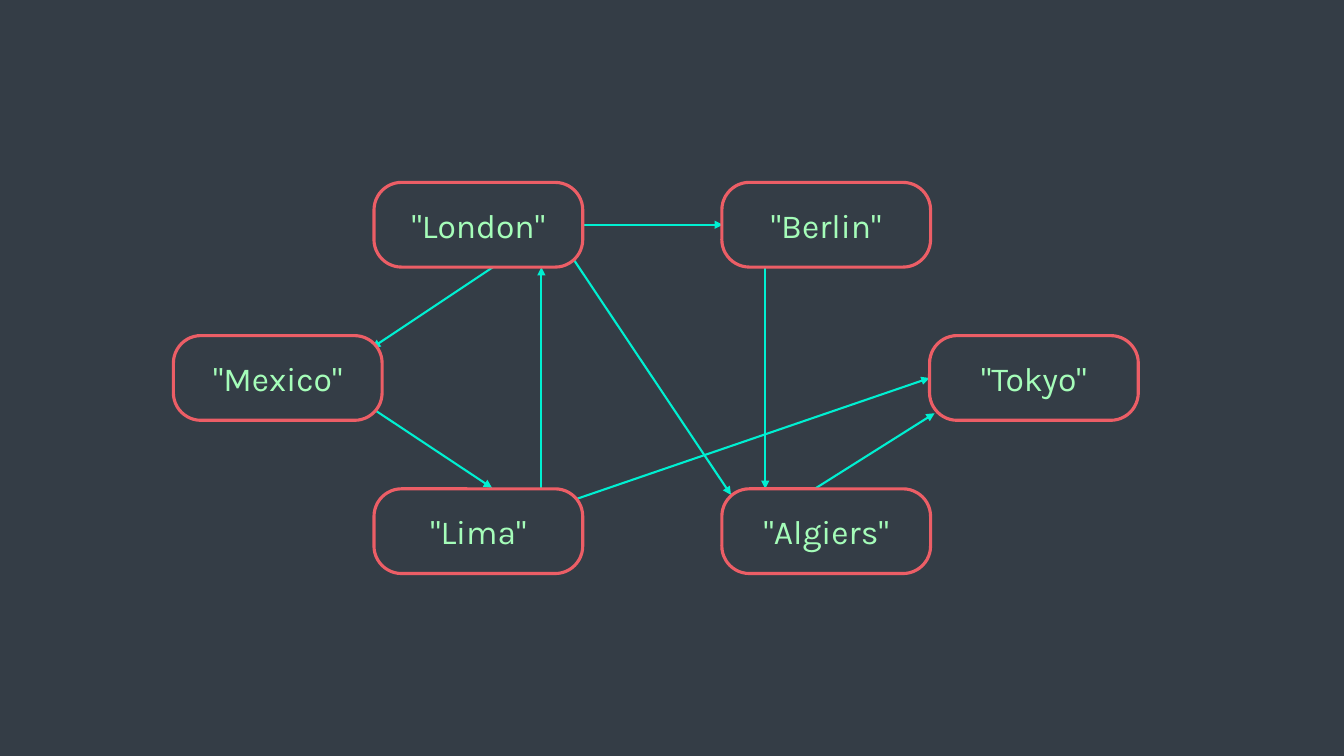
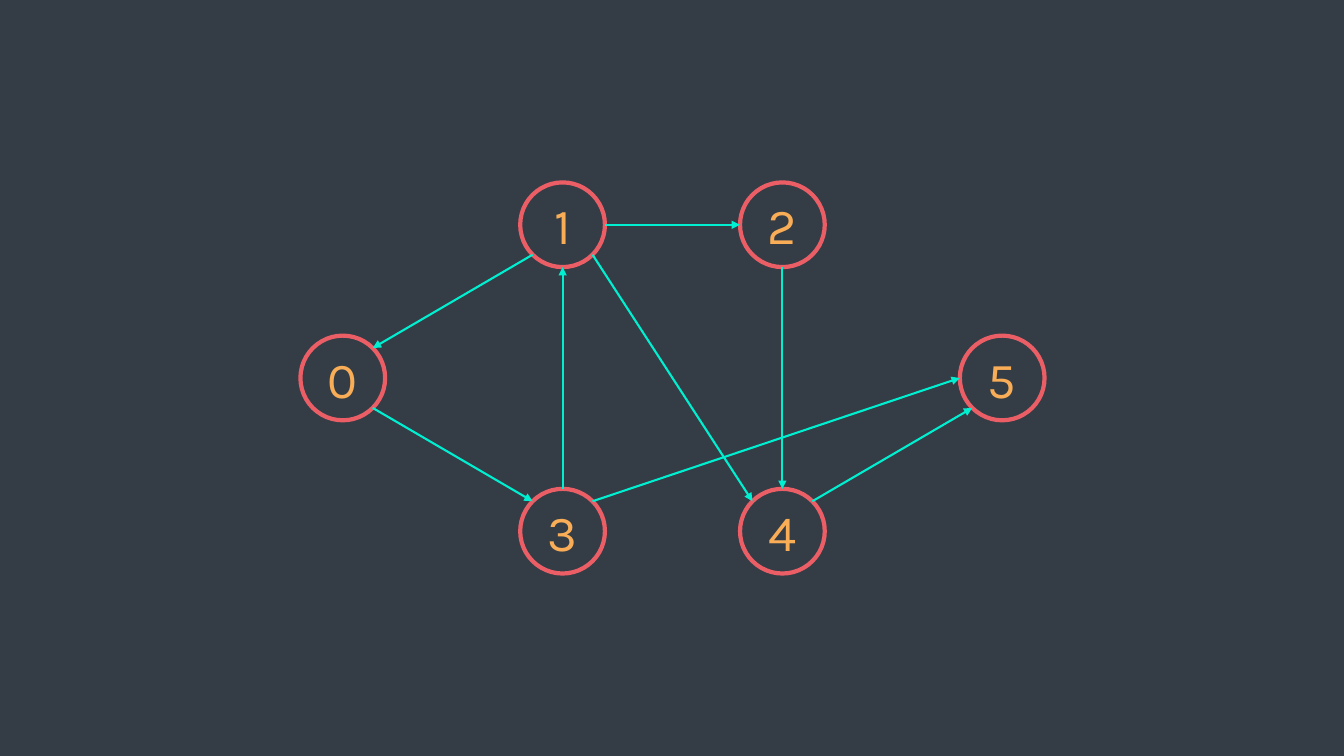
from math import cos, radians, sin

from lxml.etree import SubElement
from pptx import Presentation
from pptx.dml.color import RGBColor
from pptx.enum.shapes import MSO_CONNECTOR as Connector, MSO_SHAPE as Shape
from pptx.enum.text import MSO_ANCHOR as Anchor, PP_ALIGN as Align
from pptx.oxml.ns import qn
from pptx.util import Inches, Pt

ROW_TOPS = TOP, MIDDLE, BOTTOM = [1.81 + 1.52 * row for row in range(3)]
NODE_HEIGHT = 0.84

CITIES = [
    ("London", 3.71, TOP), ("Berlin", 7.16, TOP),
    ("Mexico", 1.72, MIDDLE), ("Tokyo", 9.22, MIDDLE),
    ("Lima", 3.71, BOTTOM), ("Algiers", 7.16, BOTTOM),
]
ROUTES = [
    ((5.07, 2.53), (3.69, 3.45)),
    ((5.37, 4.85), (5.37, 2.65)),
    ((3.69, 4.05), (4.88, 4.84)),
    ((5.79, 2.23), (7.17, 2.23)),
    ((5.66, 2.53), (7.25, 4.91)),
    ((7.59, 2.65), (7.59, 4.85)),
    ((7.89, 4.97), (9.27, 4.10)),
    ((5.66, 4.97), (9.22, 3.75)),
]

FIRST_COLUMN, COLUMN_STEP = 2.98, 2.18
VERTICES = [(0, MIDDLE), (1, TOP), (2, TOP), (1, BOTTOM), (2, BOTTOM), (3, MIDDLE)]
RIGHT, LOWER_RIGHT, DOWN, LOWER_LEFT, LEFT, UPPER_LEFT, UP, UPPER_RIGHT = range(0, 360, 45)
EDGES = [
    (1, LOWER_LEFT, 0, UPPER_RIGHT),
    (3, UP, 1, DOWN),
    (0, LOWER_RIGHT, 3, UPPER_LEFT),
    (1, RIGHT, 2, LEFT),
    (1, LOWER_RIGHT, 4, UPPER_LEFT),
    (2, DOWN, 4, UP),
    (4, UPPER_RIGHT, 5, LOWER_LEFT),
    (3, UPPER_RIGHT, 5, LEFT),
]


def color(hex_code):
    """Turn a hex string into a colour."""
    return RGBColor.from_string(hex_code)


class GraphDeck:
    """Hold the deck style and draw graph parts on the current slide."""

    font = "Karla"
    background = "343D46"
    outline = "EC5E66"
    arrow_color = "00EFD1"
    city_color = "A5FDB9"
    number_color = "F9AD57"

    def __init__(self):
        """Open an empty widescreen deck."""
        self.deck = Presentation()
        self.deck.slide_width = Inches(13.33)
        self.deck.slide_height = Inches(7.5)
        self.slide = None

    def add_slide(self):
        """Start a slide with the shared background."""
        self.slide = self.deck.slides.add_slide(self.deck.slide_layouts[6])
        fill = self.slide.background.fill
        fill.solid()
        fill.fore_color.rgb = color(self.background)

    def node(self, outline_kind, label, left, top, width, border, size, text_color):
        """Draw an outlined node with a centred label."""
        node = self.slide.shapes.add_shape(
            outline_kind, Inches(left), Inches(top), Inches(width), Inches(NODE_HEIGHT))
        node.shadow.inherit = False
        node.fill.solid()
        node.fill.fore_color.rgb = color(self.background)
        node.line.color.rgb = color(self.outline)
        node.line.width = Pt(border)
        frame = node.text_frame
        frame.text = label
        frame.vertical_anchor = Anchor.MIDDLE
        paragraph = frame.paragraphs[0]
        paragraph.alignment = Align.CENTER
        font = paragraph.runs[0].font
        font.name = self.font
        font.size = Pt(size)
        font.color.rgb = color(text_color)
        return node

    def city(self, name, left, top):
        """Draw a rounded box with a quoted city name."""
        box = self.node(Shape.ROUNDED_RECTANGLE, f'"{name}"', left, top, 2.07,
                        2.25, 24, self.city_color)
        box.adjustments[0] = 0.325
        frame = box.text_frame
        frame.margin_left = frame.margin_right = 0
        frame.margin_top = frame.margin_bottom = 0

    def vertex(self, number, left, top):
        """Draw a numbered circle."""
        self.node(Shape.OVAL, str(number), left, top, NODE_HEIGHT,
                  3, 36, self.number_color)

    def arrow(self, start, end):
        """Draw an arrow between two points."""
        arrow = self.slide.shapes.add_connector(
            Connector.STRAIGHT, *(Inches(length) for length in (*start, *end)))
        arrow.line.color.rgb = color(self.arrow_color)
        arrow.line.width = Pt(1.5)
        SubElement(arrow.line._get_or_add_ln(), qn("a:tailEnd"), type="triangle")
        SubElement(arrow._element.spPr, qn("a:effectLst"))


def vertex_corner(number):
    """Return the left and top of a numbered circle."""
    column, top = VERTICES[number]
    return FIRST_COLUMN + column * COLUMN_STEP, top


def rim_point(number, angle):
    """Return the point on a circle's rim at a clockwise angle."""
    left, top = vertex_corner(number)
    radius = NODE_HEIGHT / 2
    return (left + radius * (1 + cos(radians(angle))),
            top + radius * (1 + sin(radians(angle))))


def main():
    """Build both graphs and save the deck."""
    graphs = GraphDeck()

    graphs.add_slide()
    for start, end in ROUTES:
        graphs.arrow(start, end)
    for city in CITIES:
        graphs.city(*city)

    graphs.add_slide()
    for number in range(len(VERTICES)):
        graphs.vertex(number, *vertex_corner(number))
    for source, exit_angle, target, entry_angle in EDGES:
        graphs.arrow(rim_point(source, exit_angle), rim_point(target, entry_angle))

    graphs.deck.save("out.pptx")


if __name__ == "__main__":
    main()
